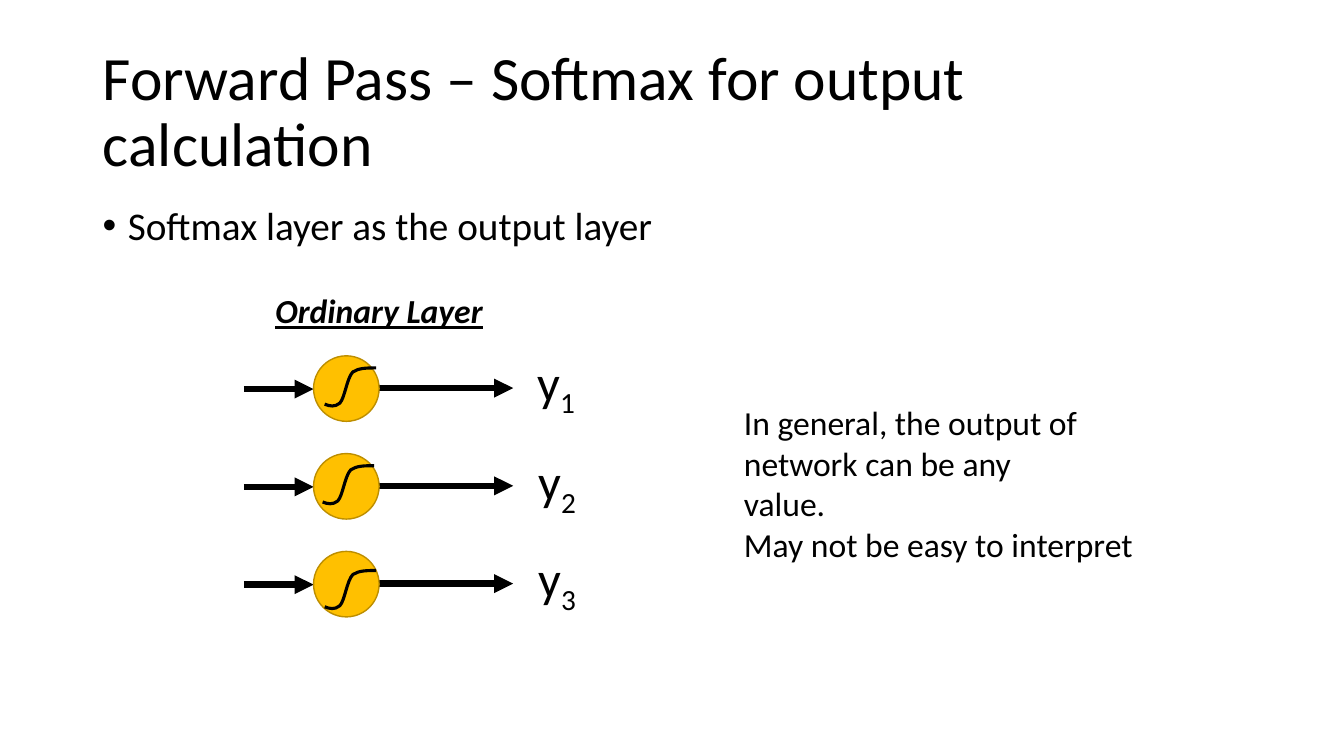
from lxml.etree import SubElement
from pptx import Presentation
from pptx.dml.color import RGBColor
from pptx.enum.shapes import MSO_CONNECTOR as CONNECTOR, MSO_SHAPE as SHAPE
from pptx.enum.text import MSO_ANCHOR as ANCHOR, MSO_AUTO_SIZE as AUTO_SIZE, PP_ALIGN as ALIGN
from pptx.oxml.ns import qn
from pptx.util import Pt

BLACK = RGBColor(0x00, 0x00, 0x00)
AMBER = RGBColor(0xFF, 0xC0, 0x00)
DARK_AMBER = RGBColor(0xBD, 0x8E, 0x00)
FONT = "Calibri"
EMU_PER_PX = 9144  # 100 px to the inch
TITLE_ONLY = 5

# Sigmoid in px from its top left corner: a start, then three points per Bezier piece
SIGMOID_START = (51, 0)
SIGMOID_POINTS = [
    (42, 0), (34, 0), (28, 4),
    (22, 10), (20, 30), (15, 35),
    (10, 39), (5, 38), (0, 36),
]


def px(length):
    return round(length * EMU_PER_PX)


class SlideBuilder:
    def __init__(self, slide):
        self.slide = slide
        self.shapes = slide.shapes

    def style(self, font, size):
        font.name = FONT
        font.size = Pt(size)
        font.color.rgb = BLACK

    def title(self, text, left, top, width, height):
        title = self.shapes.title
        title.left, title.top = px(left), px(top)
        title.width, title.height = px(width), px(height)
        frame = title.text_frame
        frame.text = text
        frame.auto_size = AUTO_SIZE.NONE
        frame.vertical_anchor = ANCHOR.MIDDLE
        paragraph = frame.paragraphs[0]
        paragraph.alignment = ALIGN.LEFT
        paragraph.line_spacing = 0.9
        self.style(paragraph.runs[0].font, 44)

    def text(self, text, left, top, width, height, size=24, wrap=True, grow=True):
        box = self.shapes.add_textbox(px(left), px(top), px(width), px(height))
        frame = box.text_frame
        frame.word_wrap = wrap
        frame.auto_size = AUTO_SIZE.SHAPE_TO_FIT_TEXT if grow else AUTO_SIZE.NONE
        frame.text = text
        paragraph = frame.paragraphs[0]
        self.style(paragraph.runs[0].font, size)
        return paragraph

    def bullet(self, text, left, top, width, height):
        paragraph = self.text(text, left, top, width, height, size=28, grow=False)
        properties = paragraph._p.get_or_add_pPr()
        properties.set("marL", str(px(25)))
        properties.set("indent", str(px(-25)))
        SubElement(properties, qn("a:buFont")).set("typeface", "Arial")
        SubElement(properties, qn("a:buChar")).set("char", "•")
        paragraph.line_spacing = 0.9

    def heading(self, text, left, top, width, height):
        paragraph = self.text(text, left, top, width, height)
        paragraph.alignment = ALIGN.CENTER
        font = paragraph.runs[0].font
        font.bold = font.italic = font.underline = True

    def subscripted(self, letter, index, left, top):
        paragraph = self.text(letter, left, top, 60, 71, size=36, wrap=False)
        subscript = paragraph.add_run()
        subscript.text = index
        self.style(subscript.font, 36)
        subscript._r.get_or_add_rPr().set("baseline", "-25000")

    def arrow(self, start, end, y):
        arrow = self.shapes.add_connector(CONNECTOR.STRAIGHT, px(start), px(y), px(end), px(y))
        arrow.line.color.rgb = BLACK
        arrow.line.width = Pt(4.5)
        SubElement(arrow.line._get_or_add_ln(), qn("a:tailEnd")).set("type", "triangle")
        SubElement(arrow._element.spPr, qn("a:effectLst"))

    def neuron(self, left, top, size):
        neuron = self.shapes.add_shape(SHAPE.OVAL, px(left), px(top), px(size), px(size))
        neuron.shadow.inherit = False
        neuron.fill.solid()
        neuron.fill.fore_color.rgb = AMBER
        neuron.line.color.rgb = DARK_AMBER
        neuron.line.width = Pt(1)

    def sigmoid(self, left, top):
        def place(point):
            return px(left + point[0]), px(top + point[1])

        builder = self.shapes.build_freeform(*place(SIGMOID_START))
        builder.add_line_segments([place(point) for point in SIGMOID_POINTS], close=False)
        curve = builder.convert_to_shape()
        curve.shadow.inherit = False
        curve.fill.background()
        curve.line.color.rgb = BLACK
        curve.line.width = Pt(2.25)

        # Merge every three straight segments into one Bezier piece
        outline = next(curve._element.iter(qn("a:path")))
        segments = outline.findall(qn("a:lnTo"))
        for first in range(0, len(segments), 3):
            piece = SubElement(outline, qn("a:cubicBezTo"))
            for segment in segments[first:first + 3]:
                piece.append(segment[0])
                outline.remove(segment)


def main():
    presentation = Presentation()
    presentation.slide_width, presentation.slide_height = px(1333), px(750)
    layout = presentation.slide_layouts[TITLE_ONLY]
    page = SlideBuilder(presentation.slides.add_slide(layout))

    # Title and topic
    page.title("Forward Pass – Softmax for output calculation", 92, 40, 1150, 145)
    page.bullet("Softmax layer as the output layer", 92, 200, 1150, 476)

    # Ordinary layer: one row per neuron
    page.heading("Ordinary Layer", 220, 283, 312, 50)
    neuron_left, neuron_size, row_step = 311, 65, 97
    neuron_right = neuron_left + neuron_size
    curve_corners = [(322, 365), (320, 462), (322, 566)]
    label_corners = [(523, 343), (524, 442), (524, 538)]
    for row, (curve, label) in enumerate(zip(curve_corners, label_corners)):
        offset = row * row_step
        page.arrow(neuron_right, 509, 385 + offset)
        page.arrow(242, neuron_left, 386 + offset)
        page.neuron(neuron_left, 353 + offset, neuron_size)
        page.sigmoid(*curve)
        page.subscripted("y", str(row + 1), *label)

    # Remarks on the output
    page.text("In general, the output of network can be any value.", 728, 394, 370, 91)
    page.text("May not be easy to interpret", 728, 515, 408, 50)

    presentation.save("out.pptx")


if __name__ == "__main__":
    main()
